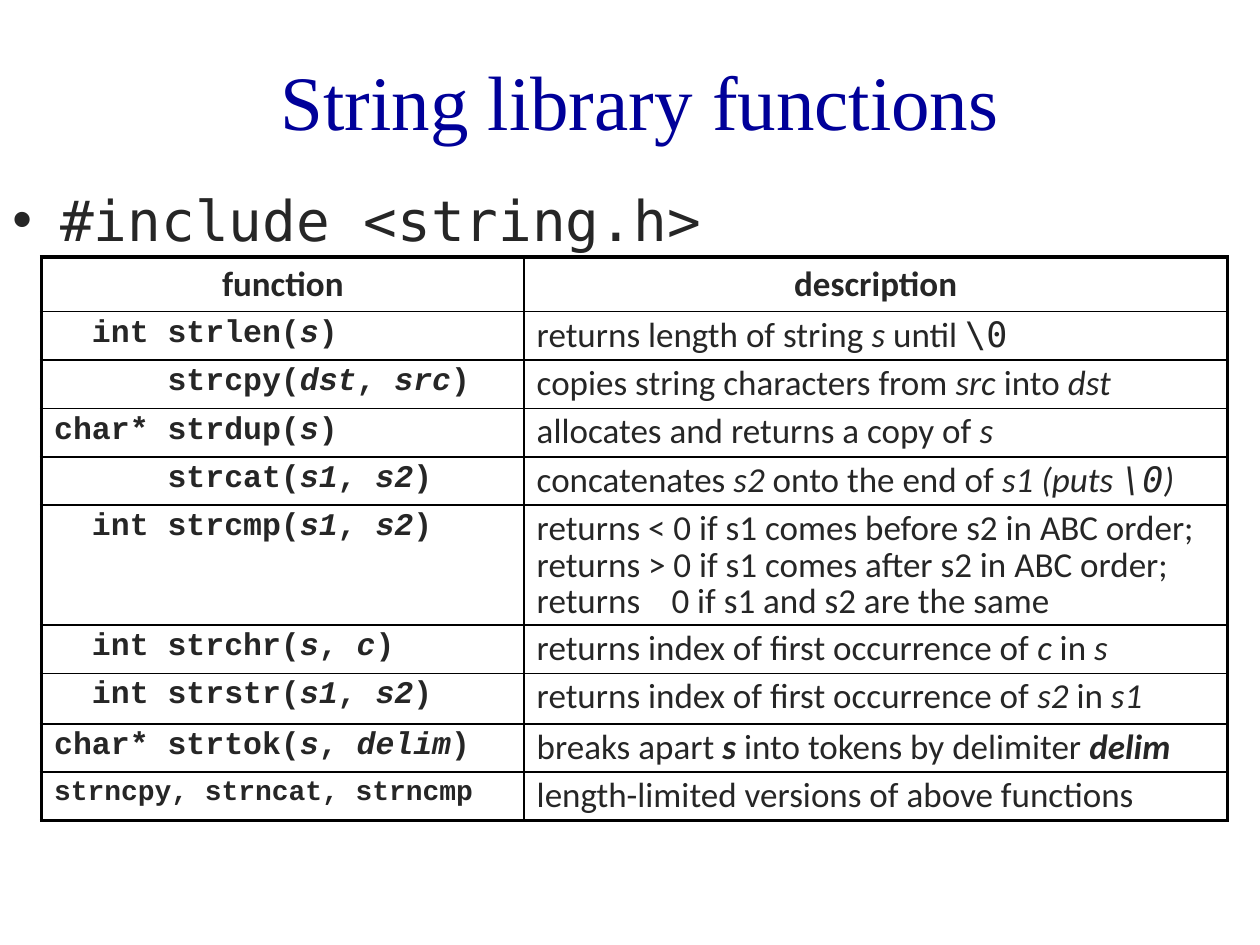
"""Build a slide with a table of C string library functions."""
import pptx
import pptx.dml.color
import pptx.enum.text
import pptx.oxml
import pptx.oxml.ns
import pptx.util
from pptx.util import Inches

COLORS = {"title": "000099", "text": "262626", "border": "000000"}
NAMESPACE = pptx.oxml.ns.nsdecls("a")
CENTER = pptx.enum.text.PP_ALIGN.CENTER
HEADER = {"name": "Calibri", "size": pptx.util.Pt(20), "bold": True}
CODE = {"name": "Courier New", "size": pptx.util.Pt(18), "bold": True}
SMALL_CODE = CODE | {"size": pptx.util.Pt(16)}
PROSE = HEADER | {"bold": False}
MONO = {"name": "DejaVu Sans Mono"}
CODE_CHARACTER = 0.15

ROWS = [
    (0.34, 0, "function", "description"),
    (0.31, 2, "int strlen(_s_)", "returns length of string _s_ until `\\0`"),
    (0.31, 6, "strcpy(_dst_, _src_)", "copies string characters from _src_ into _dst_"),
    (0.38, 0, "char* strdup(_s_)", "allocates and returns a copy of _s_"),
    (0.38, 6, "strcat(_s1_, _s2_)", "concatenates _s2_ onto the end of _s1 (puts `\\0`)_"),
    (0.82, 2, "int strcmp(_s1_, _s2_)",
     "returns < 0 if s1 comes before s2 in ABC order; "
     "returns > 0 if s1 comes after s2 in ABC order;\n"
     "returns\t0 if s1 and s2 are the same"),
    (0.38, 2, "int strchr(_s_, _c_)", "returns index of first occurrence of _c_ in _s_"),
    (0.4, 2, "int strstr(_s1_, _s2_)", "returns index of first occurrence of _s2_ in _s1_"),
    (0.38, 0, "char* strtok(_s_, _delim_)",
     "breaks apart _^s^_ into tokens by delimiter _^delim^_"),
    (0.38, 0, "strncpy, strncat, strncmp", "length-limited versions of above functions"),
]


def add_run(paragraph, text, style, color="text"):
    run = paragraph.add_run()
    run.text = text
    for name, value in style.items():
        setattr(run.font, name, value)
    run.font.color.rgb = pptx.dml.color.RGBColor.from_string(COLORS[color])


def add_marked_text(paragraph, text, style):
    """Write text where _ marks italic, ` monospaced and ^ bold parts."""
    pieces = [(text, style)]
    for mark, change in (("_", {"italic": True}), ("`", MONO), ("^", {"bold": True})):
        pieces = [
            (part, base | change if index % 2 else base)
            for piece, base in pieces
            for index, part in enumerate(piece.split(mark))
            if part
        ]
    for piece, piece_style in pieces:
        for number, line in enumerate(piece.split("\n")):
            if number:
                paragraph.add_line_break()
            add_run(paragraph, line, piece_style)


presentation = pptx.Presentation()
presentation.slide_width, presentation.slide_height = Inches(10), Inches(7.5)
slide = presentation.slides.add_slide(presentation.slide_layouts[5])

title = slide.shapes.title
title_place = {"left": 0.83, "top": 0.17, "width": 8.5, "height": 1.25}
for name, value in title_place.items():
    setattr(title, name, Inches(value))
title.text_frame.vertical_anchor = pptx.enum.text.MSO_ANCHOR.MIDDLE
title_paragraph = title.text_frame.paragraphs[0]
title_paragraph.alignment = CENTER
add_run(title_paragraph, "String library functions",
        {"name": "Times New Roman", "size": pptx.util.Pt(44)}, "title")

body = slide.shapes.add_textbox(Inches(0), Inches(1.42), Inches(10), Inches(6.08))
body.text_frame.word_wrap = True
body_paragraph = body.text_frame.paragraphs[0]
add_run(body_paragraph, "#include <string.h>", MONO | {"size": pptx.util.Pt(32)})
properties = body_paragraph._p.get_or_add_pPr()
properties.set("marL", str(Inches(0.38)))
properties.set("indent", str(Inches(-0.38)))
properties.append(pptx.oxml.parse_xml(f'<a:buFont {NAMESPACE} typeface="Arial"/>'))
properties.append(pptx.oxml.parse_xml(f'<a:buChar {NAMESPACE} char="•"/>'))

table = slide.shapes.add_table(
    len(ROWS), 2, Inches(0.33), Inches(2.04), Inches(9.42), Inches(4.08)).table
table.first_row = table.horz_banding = False
for column, width in zip(table.columns, (3.83, 5.58)):
    column.width = Inches(width)

last = len(ROWS) - 1
for row_index, (height, indent, function, description) in enumerate(ROWS):
    table.rows[row_index].height = Inches(height)
    code = SMALL_CODE if row_index == last else CODE
    for column_index, (text, style) in enumerate(((function, code), (description, PROSE))):
        cell = table.cell(row_index, column_index)
        cell.fill.background()
        paragraph = cell.text_frame.paragraphs[0]
        paragraph_properties = paragraph._p.get_or_add_pPr()
        if row_index == 0:
            paragraph.alignment = CENTER
            style = HEADER
        else:
            paragraph.line_spacing = 0.85
        if column_index == 0 and indent:
            paragraph_properties.set("marL", str(Inches(indent * CODE_CHARACTER)))
        if "\t" in text:
            paragraph_properties.append(pptx.oxml.parse_xml(
                f'<a:tabLst {NAMESPACE}><a:tab pos="{Inches(1.07)}" algn="l"/></a:tabLst>'))
        add_marked_text(paragraph, text, style)

        outer_sides = {"L": column_index == 0, "R": column_index == 1,
                       "T": row_index == 0, "B": row_index == last}
        cell_properties = cell._tc.get_or_add_tcPr()
        for position, (side, outer) in enumerate(outer_sides.items()):
            line_width = pptx.util.Pt(2.25 if outer else 1)
            cell_properties.insert(position, pptx.oxml.parse_xml(
                f'<a:ln{side} {NAMESPACE} w="{line_width}"><a:solidFill>'
                f'<a:srgbClr val="{COLORS["border"]}"/></a:solidFill></a:ln{side}>'))

presentation.save("out.pptx")
